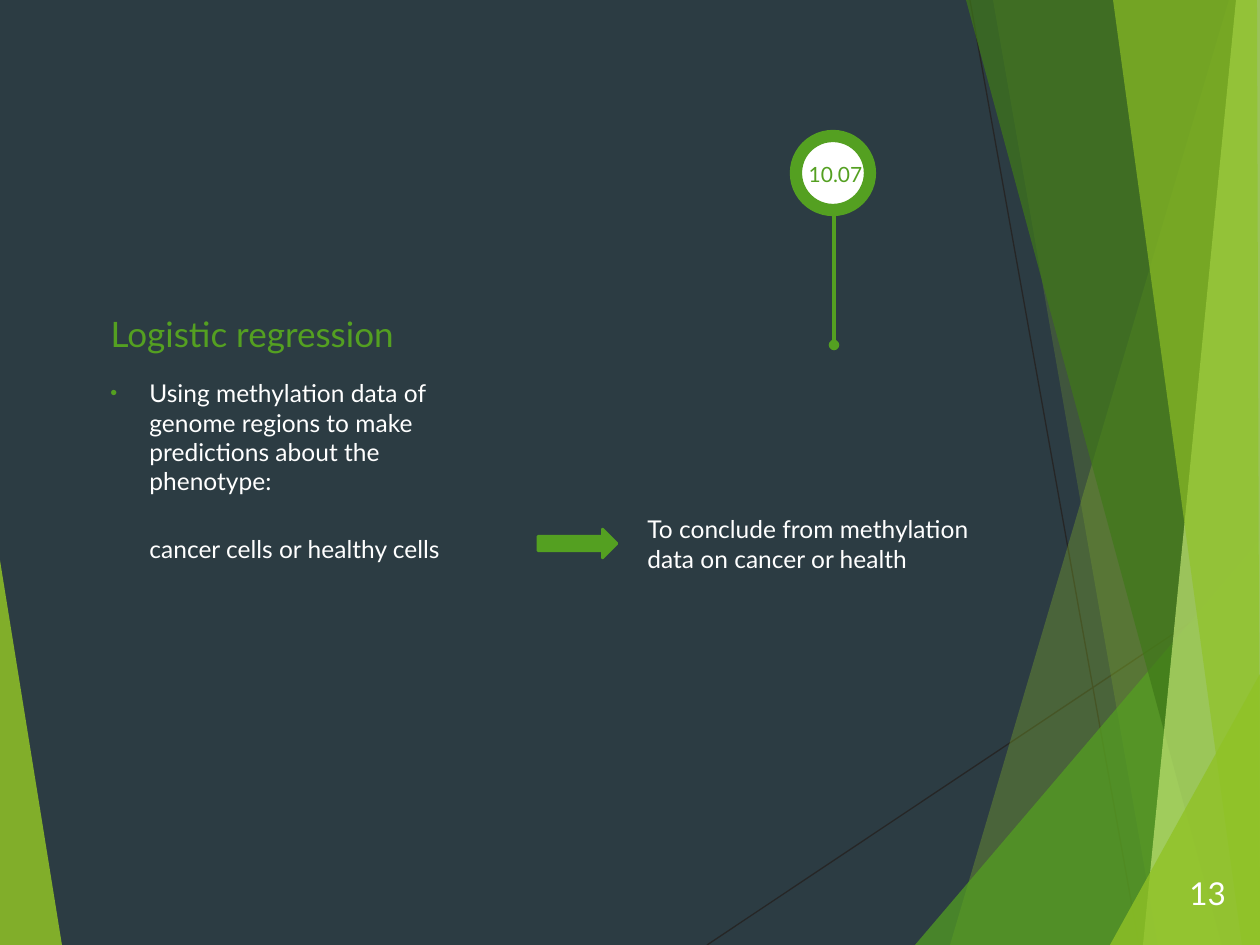
from dataclasses import dataclass
from typing import NamedTuple

from lxml.etree import SubElement
from pptx import Presentation
from pptx.dml.color import RGBColor
from pptx.enum.shapes import MSO_CONNECTOR, MSO_SHAPE
from pptx.enum.text import MSO_ANCHOR, MSO_AUTO_SIZE, PP_ALIGN
from pptx.oxml.ns import qn
from pptx.util import Pt

EMU_PER_PX = 914400 / 126
WIDTH, HEIGHT = 1260, 945


@dataclass(frozen=True)
class Theme:
    background: str = "2C3C43"
    text: str = "FFFFFF"
    accent: str = "54A021"
    lime: str = "90C226"
    forest: str = "3F7819"
    pale: str = "C0E474"
    hairline: str = "262626"
    font: str = "Lato"
    title_size: int = 20
    number_size: int = 18
    body_size: int = 14
    date_size: int = 12


THEME = Theme()


class Box(NamedTuple):
    left: int
    top: int
    width: int
    height: int


class Facet(NamedTuple):
    color: str
    opacity: int
    points: tuple


class Line(NamedTuple):
    start: tuple
    end: tuple
    color: str
    weight: float
    tail: str = ""


class Label(NamedTuple):
    box: Box
    text: str
    size: int
    color: str = THEME.text
    align: PP_ALIGN = PP_ALIGN.LEFT


HAIRLINES = (
    Line((707, 945), (1260, 576), THEME.hairline, 0.75),
    Line((970, 0), (1139, 945), THEME.hairline, 0.75),
)
FACETS = (
    Facet(THEME.lime, 85, ((0, 560), (62, 945), (0, 945))),
    Facet(THEME.lime, 30, ((1229, 0), (950, 945), (1260, 945), (1260, 0))),
    Facet(THEME.lime, 20, ((993, 0), (1158, 945), (1260, 945), (1260, 0))),
    Facet(THEME.accent, 72, ((915, 945), (1260, 540), (1260, 945))),
    Facet(THEME.forest, 70, ((966, 0), (1222, 945), (1260, 945), (1260, 0))),
    Facet(THEME.pale, 70, ((1236, 0), (1143, 945), (1260, 945), (1260, 0))),
    Facet(THEME.lime, 65, ((1113, 0), (1242, 945), (1260, 945), (1257, 0))),
    Facet(THEME.lime, 80, ((1110, 945), (1260, 674), (1260, 945))),
)
PIN = Line((834, 215), (834, 345), THEME.accent, 2, "oval")
TITLE = Label(Box(98, 304, 398, 57), "Logistic regression",
              THEME.title_size, THEME.accent)
BODY = Label(Box(98, 372, 398, 384),
             "Using methylation data of genome regions to make predictions "
             "about the phenotype:\v\vcancer cells or healthy cells",
             THEME.body_size)
LABELS = (
    Label(Box(796, 155, 79, 38), "10.07.", THEME.date_size, THEME.accent,
          PP_ALIGN.CENTER),
    Label(Box(635, 508, 394, 72),
          "To conclude from methylation data on cancer or health",
          THEME.body_size),
    Label(Box(1177, 868, 64, 50), "13", THEME.number_size),
)


def px(value: float) -> int:
    return round(value * EMU_PER_PX)


def rgb(color: str) -> RGBColor:
    return RGBColor.from_string(color)


def set_all(target, values: dict) -> None:
    for name, value in values.items():
        setattr(target, name, value)


def paint(shape, color: str, opacity: int = 100) -> None:
    shape.shadow.inherit = False
    shape.fill.solid()
    shape.fill.fore_color.rgb = rgb(color)
    if opacity < 100:
        fill = shape._element.spPr.find(qn("a:solidFill"))
        SubElement(fill[0], qn("a:alpha"), val=str(opacity * 1000))


def outline(shape, color: str, weight: float) -> None:
    shape.line.color.rgb = rgb(color)
    shape.line.width = Pt(weight)


def draw_facet(slide, facet: Facet) -> None:
    builder = slide.shapes.build_freeform(*facet.points[0], scale=EMU_PER_PX)
    builder.add_line_segments(facet.points[1:], close=True)
    shape = builder.convert_to_shape()
    paint(shape, facet.color, facet.opacity)
    shape.line.fill.background()


def draw_line(slide, line: Line) -> None:
    ends = map(px, line.start + line.end)
    connector = slide.shapes.add_connector(MSO_CONNECTOR.STRAIGHT, *ends)
    outline(connector, line.color, line.weight)
    properties = connector._element.spPr
    if line.tail:
        SubElement(properties.find(qn("a:ln")), qn("a:tailEnd"), type=line.tail)
    SubElement(properties, qn("a:effectLst"))


def draw_shape(slide, kind: MSO_SHAPE, box: Box, fill: str, weight: float) -> None:
    shape = slide.shapes.add_shape(kind, *map(px, box))
    paint(shape, fill)
    outline(shape, THEME.accent, weight)


def write(shape, label: Label, anchor: MSO_ANCHOR = MSO_ANCHOR.TOP):
    """Place the label's text in the shape and return its paragraph."""
    set_all(shape, dict(zip(Box._fields, map(px, label.box))))
    frame = shape.text_frame
    set_all(frame, {"word_wrap": True, "auto_size": MSO_AUTO_SIZE.NONE,
                    "vertical_anchor": anchor})
    para = frame.paragraphs[0]
    para.text = label.text
    para.alignment = label.align
    for span in para.runs:
        set_all(span.font, {"name": THEME.font, "size": Pt(label.size)})
        span.font.color.rgb = rgb(label.color)
    return para


def draw_label(slide, label: Label):
    return write(slide.shapes.add_textbox(*map(px, label.box)), label)


def add_bullet(para, indent: int) -> None:
    para.space_before = Pt(10)
    properties = para._p.get_or_add_pPr()
    properties.set("marL", str(px(indent)))
    properties.set("indent", str(-px(indent)))
    color = SubElement(properties, qn("a:buClr"))
    SubElement(color, qn("a:srgbClr"), val=THEME.accent)
    SubElement(properties, qn("a:buSzPct"), val="80000")
    SubElement(properties, qn("a:buFont"), typeface="Arial")
    SubElement(properties, qn("a:buChar"), char="•")


def main() -> None:
    deck = Presentation()
    set_all(deck, {"slide_width": px(WIDTH), "slide_height": px(HEIGHT)})
    slide = deck.slides.add_slide(deck.slide_layouts[5])
    slide.background.fill.solid()
    slide.background.fill.fore_color.rgb = rgb(THEME.background)

    for hairline in HAIRLINES:
        draw_line(slide, hairline)
    for facet in FACETS:
        draw_facet(slide, facet)
    draw_shape(slide, MSO_SHAPE.OVAL, Box(796, 136, 74, 74), THEME.text, 7)
    draw_line(slide, PIN)
    write(slide.shapes.title, TITLE, MSO_ANCHOR.BOTTOM)
    add_bullet(draw_label(slide, BODY), 39)
    draw_shape(slide, MSO_SHAPE.RIGHT_ARROW, Box(538, 529, 79, 29),
               THEME.accent, 1.5)
    for label in LABELS:
        draw_label(slide, label)
    deck.save("out.pptx")


if __name__ == "__main__":
    main()
